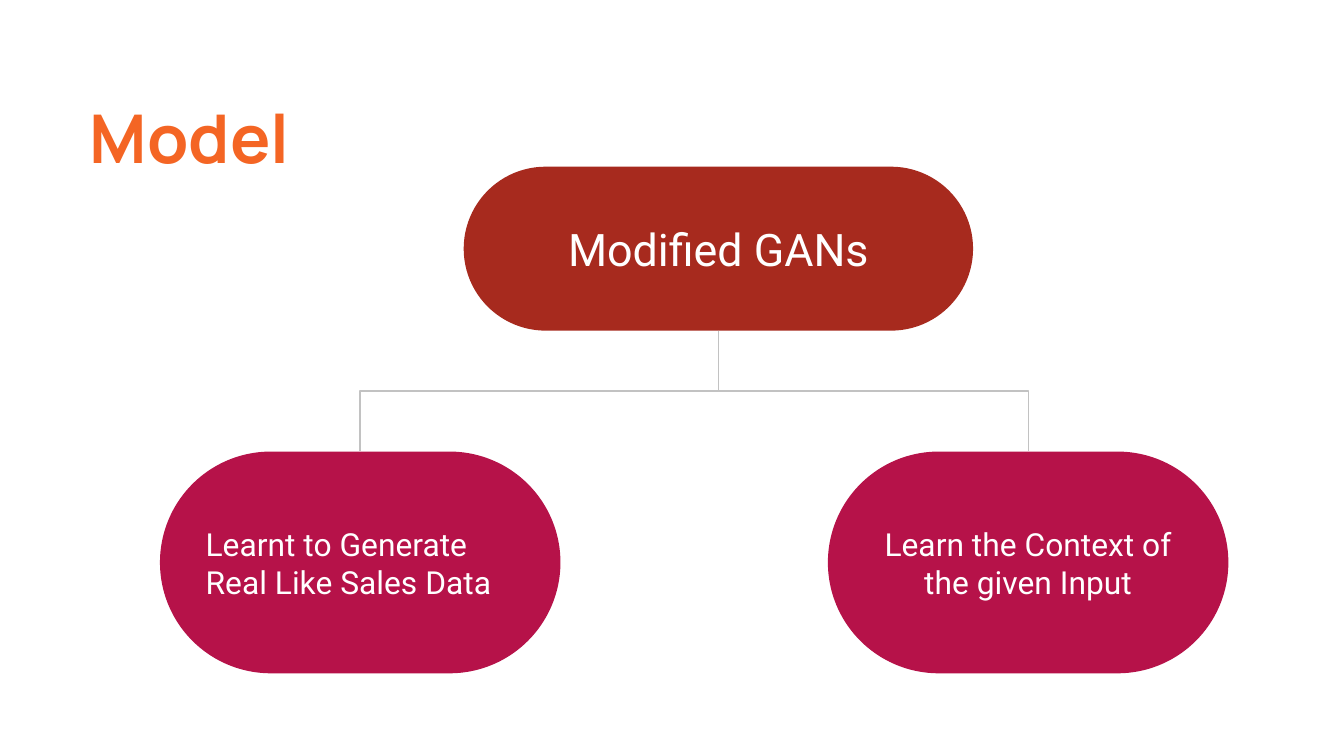
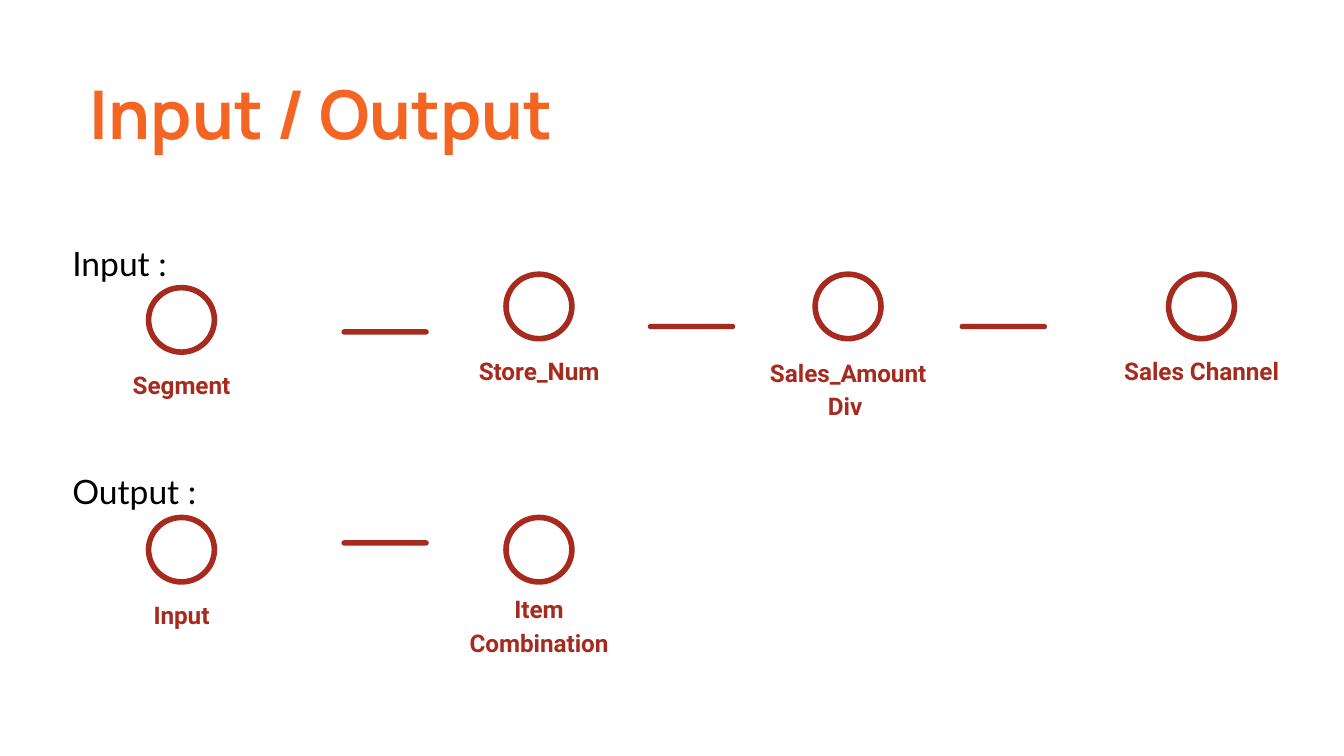
from pptx import Presentation
from pptx.dml.color import RGBColor
from pptx.enum.shapes import MSO_CONNECTOR as Line, MSO_SHAPE as Preset
from pptx.enum.text import MSO_ANCHOR as Anchor, PP_ALIGN as Align
from pptx.oxml.ns import qn
from pptx.util import Inches, Pt

ORANGE, RED, CRIMSON = "F46524", "A72A1E", "B61249"
GREY, WHITE, BLACK = "C2C2C2", "FFFFFF", "000000"
CIRCLE_WIDTH, CIRCLE_HEIGHT = 0.49, 0.48
LABEL_WIDTH, LABEL_HEIGHT = 1.42, 0.36


def color(hex_code):
    return RGBColor.from_string(hex_code)


def write(shape, lines, size, font, hex_code, bold=False, align=Align.LEFT,
          anchor=Anchor.TOP, spacing=None):
    """Fill a shape with one paragraph per line, all in one style."""
    frame = shape.text_frame
    frame.word_wrap = True
    frame.vertical_anchor = anchor
    frame.margin_left = frame.margin_right = Inches(0.1)
    frame.margin_top = frame.margin_bottom = Inches(0.1)
    frame.text = "\n".join(lines)
    for para in frame.paragraphs:
        para.alignment = align
        para.line_spacing = spacing
        for span in para.runs:
            span.font.size = Pt(size)
            span.font.name = font
            span.font.bold = bold
            span.font.color.rgb = color(hex_code)


def add_text(shapes, left, top, width, height, lines, *style, **options):
    box = shapes.add_textbox(Inches(left), Inches(top), Inches(width), Inches(height))
    write(box, lines, *style, **options)
    return box


def add_page(deck, title, title_top):
    page = deck.slides.add_slide(deck.slide_layouts[6])
    add_text(page.shapes, 0.57, title_top, 5.68, 0.84, [title],
             36, "Manrope", ORANGE, bold=True)
    return page


def add_pill(page, left, top, width, height, hex_code):
    pill = page.shapes.add_shape(Preset.ROUNDED_RECTANGLE, Inches(left), Inches(top),
                                 Inches(width), Inches(height))
    pill.adjustments[0] = 0.5
    pill.shadow.inherit = False
    pill.fill.solid()
    pill.fill.fore_color.rgb = color(hex_code)
    pill.line.fill.background()
    return pill


def add_branch(page, parent, child):
    """Join the parent's bottom to the child's top with a vertical elbow."""
    start_x, start_y = parent.left + parent.width // 2, parent.top + parent.height
    end_x, end_y = child.left + child.width // 2, child.top
    branch = page.shapes.add_connector(Line.ELBOW, start_x, start_y, end_x, end_y)
    branch.begin_connect(parent, 2)
    branch.end_connect(child, 0)

    # The elbow preset runs sideways, so its frame is turned by a quarter.
    drop, reach = end_y - start_y, abs(end_x - start_x)
    branch.left = (start_x + end_x - drop) // 2
    branch.top = (start_y + end_y - reach) // 2
    branch.width, branch.height = drop, reach
    goes_right = end_x > start_x
    properties = branch._element.spPr
    frame = properties.find(qn("a:xfrm"))
    frame.set("rot", str((270 if goes_right else 90) * 60000))
    frame.set("flipH", "1" if goes_right else "0")

    branch.line.color.rgb = color(GREY)
    branch.line.width = Pt(0.75)
    properties.append(properties.makeelement(qn("a:effectLst"), {}))


def add_field(page, left, circle_top, label_top, name):
    """Group a ring with the field name centred under it."""
    shapes = page.shapes.add_group_shape().shapes
    ring_left = left + (LABEL_WIDTH - CIRCLE_WIDTH) / 2
    ring = shapes.add_shape(Preset.OVAL, Inches(ring_left), Inches(circle_top),
                            Inches(CIRCLE_WIDTH), Inches(CIRCLE_HEIGHT))
    ring.shadow.inherit = False
    ring.fill.background()
    ring.line.color.rgb = color(RED)
    ring.line.width = Pt(3)
    add_text(shapes, left, label_top, LABEL_WIDTH, LABEL_HEIGHT, [name],
             13, "Roboto", RED, bold=True, align=Align.CENTER,
             anchor=Anchor.BOTTOM, spacing=1.15)


def build_model(deck):
    page = add_page(deck, "Model", 0.62)
    root = add_pill(page, 3.45, 1.24, 3.79, 1.22, RED)
    write(root, ["Modified GANs"], 24, "Roboto", WHITE,
          align=Align.CENTER, anchor=Anchor.MIDDLE)
    for left, text, align in (
        (6.16, "Learn the Context of the given Input", Align.CENTER),
        (1.19, "Learnt to Generate Real Like Sales Data", Align.LEFT),
    ):
        goal = add_pill(page, left, 3.36, 2.98, 1.65, CRIMSON)
        write(goal, [text], 17, "Roboto", WHITE, align=align, anchor=Anchor.MIDDLE)
        add_branch(page, root, goal)


def build_input_output(deck):
    page = add_page(deck, "Input / Output", 0.44)
    headings = add_text(page.shapes, 0.44, 1.66, 8.56, 3.43, ["Input :", "Output :"],
                        18, "Lato", BLACK, spacing=1.15)
    headings.text_frame.paragraphs[1].space_before = Pt(97.7)

    for left, top in ((2.54, 2.45), (4.82, 2.41), (7.14, 2.41), (2.54, 4.02)):
        add_pill(page, left, top, 0.65, 0.04, RED)

    for field in (
        (0.64, 2.14, 2.71, "Segment"),
        (3.3, 2.04, 2.61, "Store_Num"),
        (5.6, 2.04, 2.87, "Sales_Amount Div "),
        (8.23, 2.04, 2.61, "Sales Channel"),
        (0.64, 3.85, 4.42, "Input"),
        (3.3, 3.85, 4.63, "Item Combination"),
    ):
        add_field(page, *field)


def main():
    deck = Presentation()
    deck.slide_width = Inches(10)
    deck.slide_height = deck.slide_width * 9 // 16
    build_model(deck)
    build_input_output(deck)
    deck.save("out.pptx")


if __name__ == "__main__":
    main()
